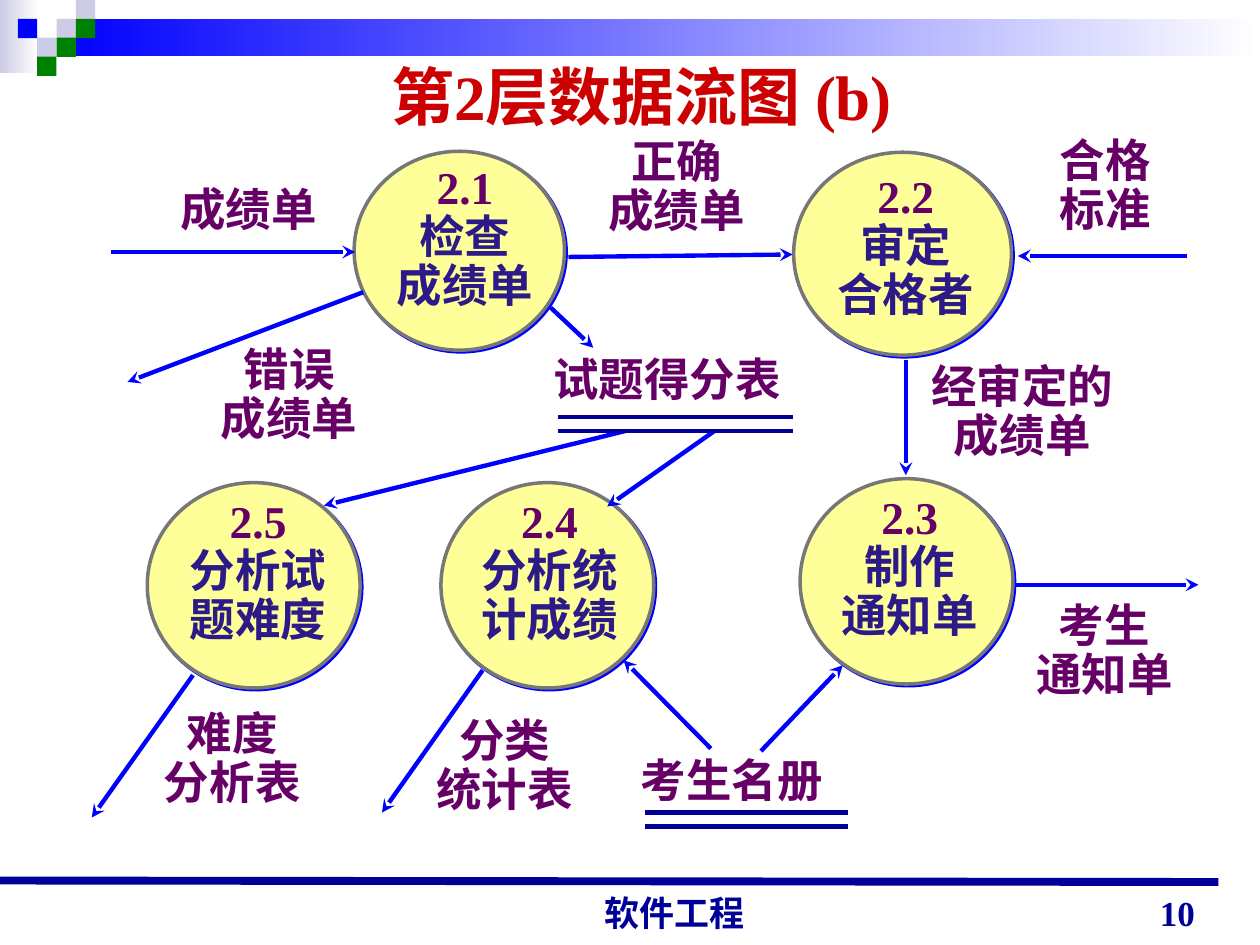
from dataclasses import dataclass

from lxml.etree import SubElement
from pptx import Presentation
from pptx.dml.color import RGBColor as RGB
from pptx.enum.shapes import MSO_CONNECTOR as CONN, MSO_SHAPE as SHAPE
from pptx.enum.text import MSO_ANCHOR as ANCHOR, PP_ALIGN as ALIGN
from pptx.oxml.ns import qn
from pptx.util import Cm, Pt


@dataclass(frozen=True)
class Theme:
    font: str = "Times New Roman"
    title: str = "CC0000"
    label: str = "660066"
    process: str = "2C1A88"
    navy: str = "000099"
    blue: str = "0000FF"
    green: str = "008000"
    lavender: str = "CCCCE6"
    white: str = "FFFFFF"
    bubble: str = "FFFF99"
    outline: str = "777777"
    title_size: int = 36
    body_size: int = 26
    footer_size: int = 20


def write(tf, text, *, font, size, colors, align=ALIGN.CENTER, spacing=1.0):
    for i, line in enumerate(text.split("\n")):
        p = tf.paragraphs[0] if i == 0 else tf.add_paragraph()
        p.alignment = align
        p.line_spacing = spacing
        r = p.add_run()
        r.text = line
        r.font.name = font
        r.font.size = Pt(size)
        r.font.bold = True
        r.font.color.rgb = RGB.from_string(colors[min(i, len(colors) - 1)])


class Diagram:
    def __init__(self, slide, theme):
        self.s = slide
        self.theme = theme

    def shape(self, kind, x, y, w, h):
        sp = self.s.shapes.add_shape(kind, Cm(x), Cm(y), Cm(w), Cm(h))
        sp.shadow.inherit = False
        sp.line.fill.background()
        return sp

    def block(self, x, y, w, h, color):
        sp = self.shape(SHAPE.RECTANGLE, x, y, w, h)
        sp.fill.solid()
        sp.fill.fore_color.rgb = RGB.from_string(color)

    def fade(self, x, y, w, h, color):
        fill = self.shape(SHAPE.RECTANGLE, x, y, w, h).fill
        fill.gradient()
        fill.gradient_angle = 0
        for stop, rgb in zip(fill.gradient_stops, (color, self.theme.white)):
            stop.color.rgb = RGB.from_string(rgb)

    def bubble(self, x, y, w, h):
        sp = self.shape(SHAPE.OVAL, x, y, w, h)
        sp.fill.solid()
        sp.fill.fore_color.rgb = RGB.from_string(self.theme.bubble)
        sp.line.color.rgb = RGB.from_string(self.theme.outline)
        sp.line.width = Pt(2)
        effects = sp._element.spPr.find(qn("a:effectLst"))
        shadow = SubElement(effects, qn("a:outerShdw"), blurRad="0",
                            dist=str(Pt(1.4)), dir="2700000", algn="ctr", rotWithShape="0")
        SubElement(shadow, qn("a:srgbClr"), val=self.theme.blue)

    def text(self, x, y, w, h, text, *, size=None, colors=None, anchor=ANCHOR.TOP,
             indent=0, **fmt):
        tf = self.s.shapes.add_textbox(Cm(x), Cm(y), Cm(w), Cm(h)).text_frame
        tf.word_wrap = True
        tf.vertical_anchor = anchor
        tf.margin_left = Cm(0.25 + indent)
        write(tf, text, font=self.theme.font, size=size or self.theme.body_size,
              colors=colors or [self.theme.label], **fmt)

    def label(self, x, y, w, text, align=ALIGN.CENTER):
        rows = text.count("\n") + 1
        self.text(x, y, w, 1.35 if rows == 1 else 2.24, text,
                  align=align, spacing=1.0 if rows == 1 else 0.9)

    def line(self, x1, y1, x2, y2, color, width=2.5):
        cn = self.s.shapes.add_connector(CONN.STRAIGHT, Cm(x1), Cm(y1), Cm(x2), Cm(y2))
        cn.line.color.rgb = RGB.from_string(color)
        cn.line.width = Pt(width)
        SubElement(cn._element.spPr, qn("a:effectLst"))
        return cn

    def arrow(self, x1, y1, x2, y2):
        cn = self.line(x1, y1, x2, y2, self.theme.blue)
        SubElement(cn.line._get_or_add_ln(), qn("a:tailEnd"), type="stealth")

    def store(self, x1, x2, y):
        for top in (y, y + 0.28):
            self.line(x1, top, x2, top, self.theme.navy)


def draw_frame(d):
    t = d.theme
    d.fade(0, 0, 0.79, 1.47, t.lavender)
    d.fade(1.14, 0.38, 24.26, 0.76, t.blue)
    squares = [(2, 1, t.lavender), (3, 0, t.lavender), (3, 1, t.green), (1, 2, t.lavender),
               (0, 1, t.blue), (2, 2, t.green), (1, 3, t.green)]
    for col, row, color in squares:
        d.block(0.36 + 0.39 * col, 0.38 * row, 0.39, 0.39, color)
    d.line(0, 17.75, 24.56, 17.78, t.navy, 4.5)
    d.text(6.93, 1.04, 12.01, 1.78, "第2层数据流图 (b)", size=t.title_size, colors=[t.title])
    footer = dict(size=t.footer_size, colors=[t.navy], anchor=ANCHOR.BOTTOM, indent=0.61)
    d.text(9.27, 17.91, 8.05, 1.04, "软件工程", **footer)
    d.text(18.42, 17.68, 5.92, 1.27, "10", align=ALIGN.RIGHT, **footer)


def draw_flow(d):
    processes = [
        ((7.14, 3.05, 4.24, 4.01), (7.47, 3.2, 3.81), "2.1\n检查\n成绩单"),
        ((16, 3.07, 4.39, 4.09), (16.33, 3.38, 3.86), "2.2\n审定\n合格者"),
        ((16.13, 9.65, 4.29, 4.14), (16.41, 9.86, 3.86), "2.3\n制作\n通知单"),
        ((8.89, 9.73, 4.29, 4.14), (9.25, 9.93, 3.66), "2.4\n分析统\n计成绩"),
        ((2.97, 9.73, 4.29, 4.14), (3.3, 9.93, 3.81), "2.5\n分析试\n题难度"),
    ]
    for oval, box, text in processes:
        d.bubble(*oval)
        d.text(*box, 3.23, text, colors=[d.theme.label, d.theme.process], spacing=0.9)

    flows = [
        (2.24, 5.08, 7.16, 5.08), (11.46, 5.18, 15.98, 5.13), (23.93, 5.16, 20.52, 5.16),
        (7.32, 5.89, 2.57, 7.7), (11.1, 6.2, 11.96, 7.01), (18.26, 7.26, 18.26, 9.58),
        (12.6, 8.69, 6.53, 10.19), (14.4, 8.69, 12.24, 10.21), (20.47, 11.79, 24.16, 11.79),
        (3.89, 13.61, 1.85, 16.48), (9.73, 13.51, 7.7, 16.38),
        (14.33, 15.09, 12.57, 13.31), (15.34, 15.14, 16.99, 13.41),
    ]
    for flow in flows:
        d.arrow(*flow)

    d.store(11.25, 15.98, 8.41)
    d.store(13, 17.09, 16.38)

    labels = [
        (2.69, 3.53, 4.65, "成绩单"),
        (11.51, 2.69, 4.27, "正确\n成绩单"),
        (21.11, 2.67, 2.69, "合格\n标准", ALIGN.LEFT),
        (3.86, 6.88, 3.94, "错误\n成绩单"),
        (10.9, 6.96, 5.79, "试题得分表", ALIGN.LEFT),
        (17.88, 7.21, 5.46, "经审定的\n成绩单"),
        (20.22, 12.04, 4.09, "考生\n通知单"),
        (2.74, 14.22, 3.89, "难度\n分析表"),
        (8.23, 14.35, 3.89, "分类\n统计表"),
        (12.67, 15.04, 4.19, "考生名册", ALIGN.LEFT),
    ]
    for label in labels:
        d.label(*label)


def main():
    prs = Presentation()
    prs.slide_width, prs.slide_height = Cm(25.4), Cm(19.05)
    d = Diagram(prs.slides.add_slide(prs.slide_layouts[6]), Theme())
    draw_frame(d)
    draw_flow(d)
    prs.save("out.pptx")


if __name__ == "__main__":
    main()
